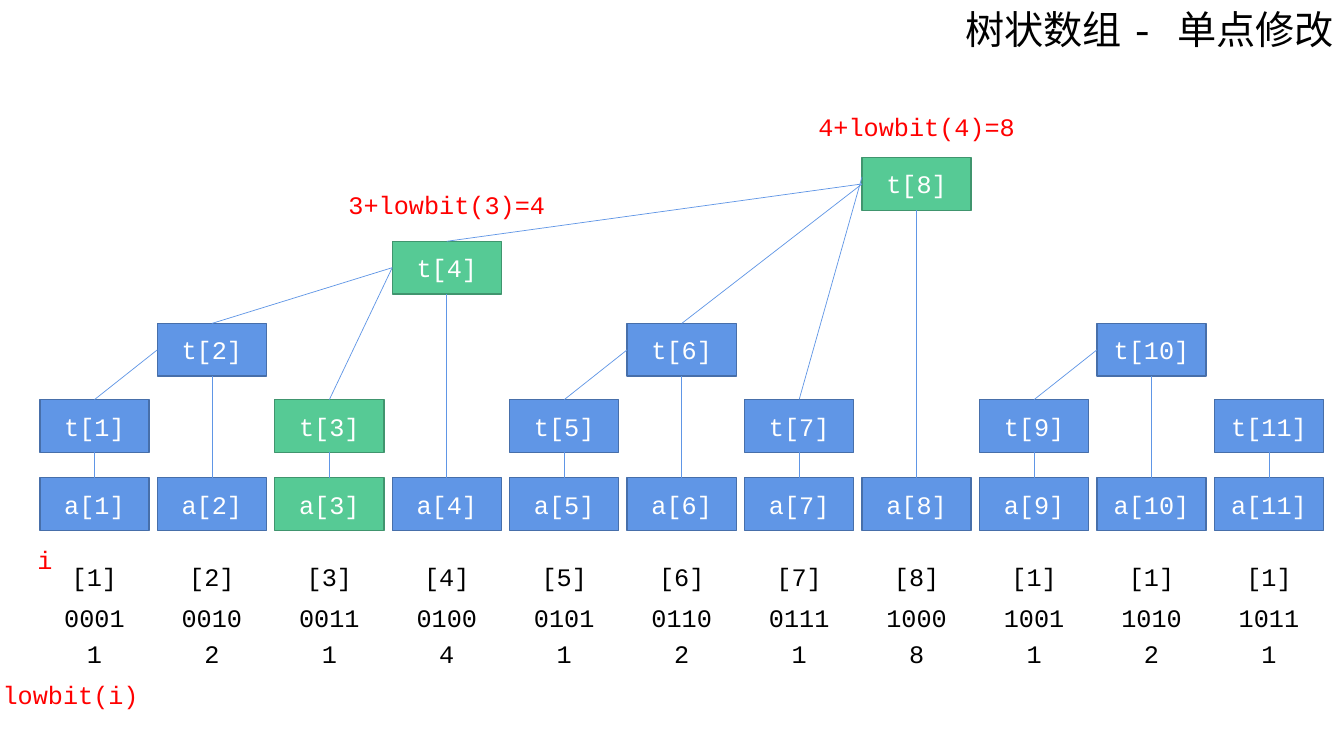
from lxml.etree import SubElement
from pptx import Presentation
from pptx.dml.color import RGBColor
from pptx.enum.shapes import MSO_CONNECTOR, MSO_SHAPE
from pptx.enum.text import MSO_ANCHOR, MSO_AUTO_SIZE, PP_ALIGN
from pptx.oxml.ns import qn
from pptx.util import Cm, Pt

BLUE, BLUE_EDGE = "6096E6", "476FAA"
GREEN, GREEN_EDGE = "56CA95", "40956E"
RED, BLACK, WHITE = "FF0000", "000000", "FFFFFF"


def color(value):
    """Turn a hex string into a colour."""
    return RGBColor.from_string(value)


class Board:
    """Hold the text style and the slide being drawn; lengths are in cm."""

    font = "Courier New"
    size = 18

    def __init__(self, slide):
        """Start on the given slide."""
        self.slide = slide

    def add_text(self, frame, text, ink, size=None, align=PP_ALIGN.CENTER,
                 anchor=MSO_ANCHOR.MIDDLE):
        """Put one styled run into a text frame."""
        frame.word_wrap = True
        frame.vertical_anchor = anchor
        line = frame.paragraphs[0]
        line.alignment = align
        run = line.add_run()
        run.text = text
        run.font.name = self.font
        run.font.size = Pt(size or self.size)
        run.font.color.rgb = color(ink)

    def node(self, center, top, width, height, text, changed):
        """Draw one array cell, green when the update changes it."""
        cell = self.slide.shapes.add_shape(
            MSO_SHAPE.RECTANGLE, Cm(center - width / 2), Cm(top), Cm(width), Cm(height))
        cell.shadow.inherit = False
        cell.fill.solid()
        cell.fill.fore_color.rgb = color(GREEN if changed else BLUE)
        cell.line.color.rgb = color(GREEN_EDGE if changed else BLUE_EDGE)
        cell.line.width = Pt(1)
        self.add_text(cell.text_frame, text, WHITE)

    def edge(self, x1, y1, x2, y2):
        """Draw a thin tree edge."""
        link = self.slide.shapes.add_connector(
            MSO_CONNECTOR.STRAIGHT, Cm(x1), Cm(y1), Cm(x2), Cm(y2))
        link.line.color.rgb = color(BLUE)
        link.line.width = Pt(0.5)
        SubElement(link._element.spPr, qn("a:effectLst"))

    def label(self, center, top, width, text, ink=BLACK, height=1.02, **style):
        """Place free text centred on a column."""
        box = self.slide.shapes.add_textbox(
            Cm(center - width / 2), Cm(top), Cm(width), Cm(height))
        self.add_text(box.text_frame, text, ink, **style)
        box.text_frame.auto_size = MSO_AUTO_SIZE.SHAPE_TO_FIT_TEXT


def lowbit(i):
    """Return the lowest set bit."""
    return i & -i


def column(i):
    """Return the centre of column i."""
    return 2.38 + 2.96 * (i - 1)


SLIDE_WIDTH, SLIDE_HEIGHT = 33.87, 19.05
COUNT, START = 11, 3
NODE_WIDTH, NODE_HEIGHT = 2.75, 1.33
ARRAY_TOP = 12.04
TREE_TOP = {1: 10.07, 2: 8.15, 4: 6.08, 8: 3.97}
EDGE_LIFT = {7: 0.18}

deck = Presentation()
deck.slide_width, deck.slide_height = Cm(SLIDE_WIDTH), Cm(SLIDE_HEIGHT)
board = Board(deck.slides.add_slide(deck.slide_layouts[6]))
indices = range(1, COUNT + 1)

changed_nodes = set()
step = START
while step <= COUNT:
    changed_nodes.add(step)
    step += lowbit(step)

for i in indices:
    board.node(column(i), ARRAY_TOP, NODE_WIDTH, NODE_HEIGHT, f"a[{i}]", i == START)
for i in indices:
    board.node(column(i), TREE_TOP[lowbit(i)], NODE_WIDTH, NODE_HEIGHT, f"t[{i}]",
               i in changed_nodes)

for i in indices:
    tree_top = TREE_TOP[lowbit(i)]
    board.edge(column(i), ARRAY_TOP, column(i), tree_top + NODE_HEIGHT)
    parent = i + lowbit(i)
    if parent <= COUNT:
        parent_middle = TREE_TOP[lowbit(parent)] + NODE_HEIGHT / 2
        board.edge(column(i), tree_top, column(parent) - NODE_WIDTH / 2,
                   parent_middle - EDGE_LIFT.get(i, 0))

index_labels = [f"[{i}]" if i < 9 else "[1]" for i in indices]
binary_labels = [f"{i:04b}" for i in indices]
lowbit_labels = [str(lowbit(i)) for i in indices]
for top, labels in ((14.02, index_labels), (15.04, binary_labels), (15.95, lowbit_labels)):
    for i, text in zip(indices, labels):
        board.label(column(i), top, 2.26, text)

board.label(1.13, 13.59, 2.26, "i", RED)
board.label(1.78, 16.99, 3.96, "lowbit(i)", RED)
for source, top in ((3, 4.65), (4, 2.67)):
    target = source + lowbit(source)
    board.label(column(target), top, 6.4, f"{source}+lowbit({source})={target}", RED)
board.label(SLIDE_WIDTH / 2, 0, SLIDE_WIDTH, "树状数组 - 单点修改", height=1.45,
            size=28, align=PP_ALIGN.RIGHT, anchor=MSO_ANCHOR.TOP)

deck.save("out.pptx")
